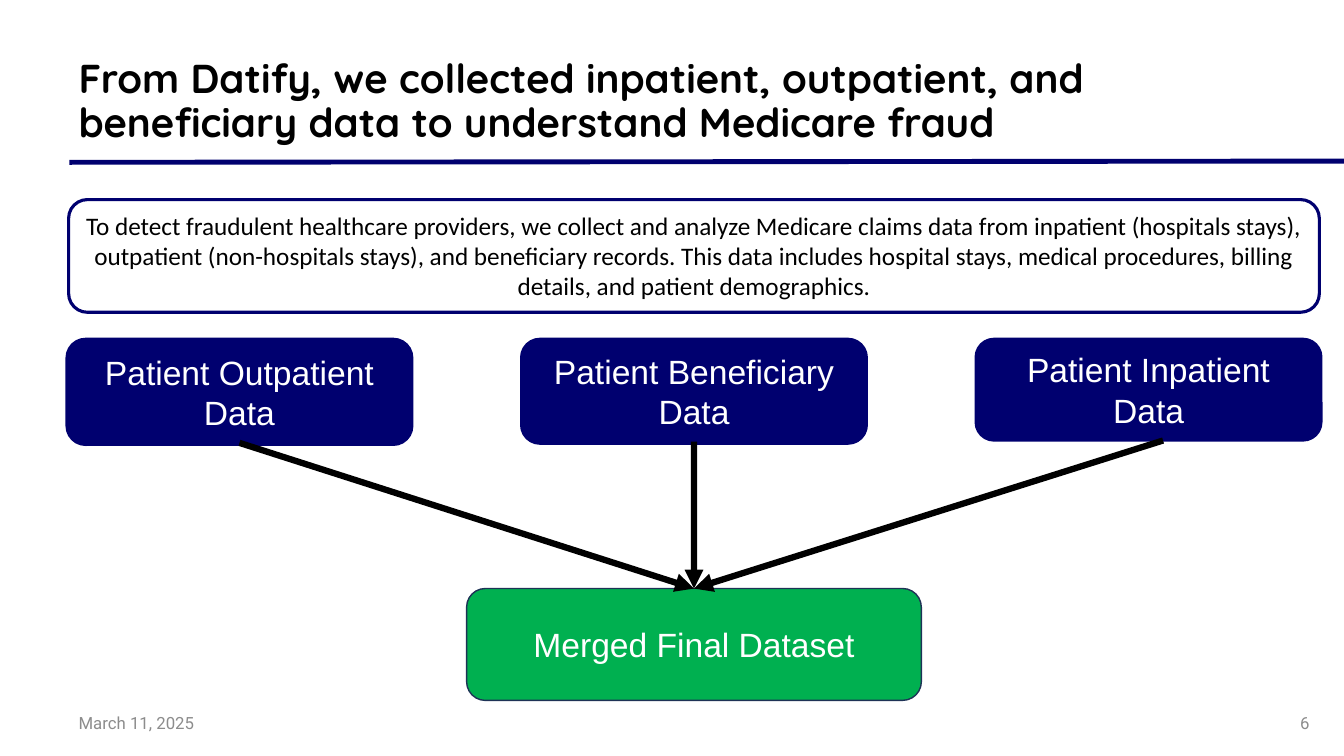
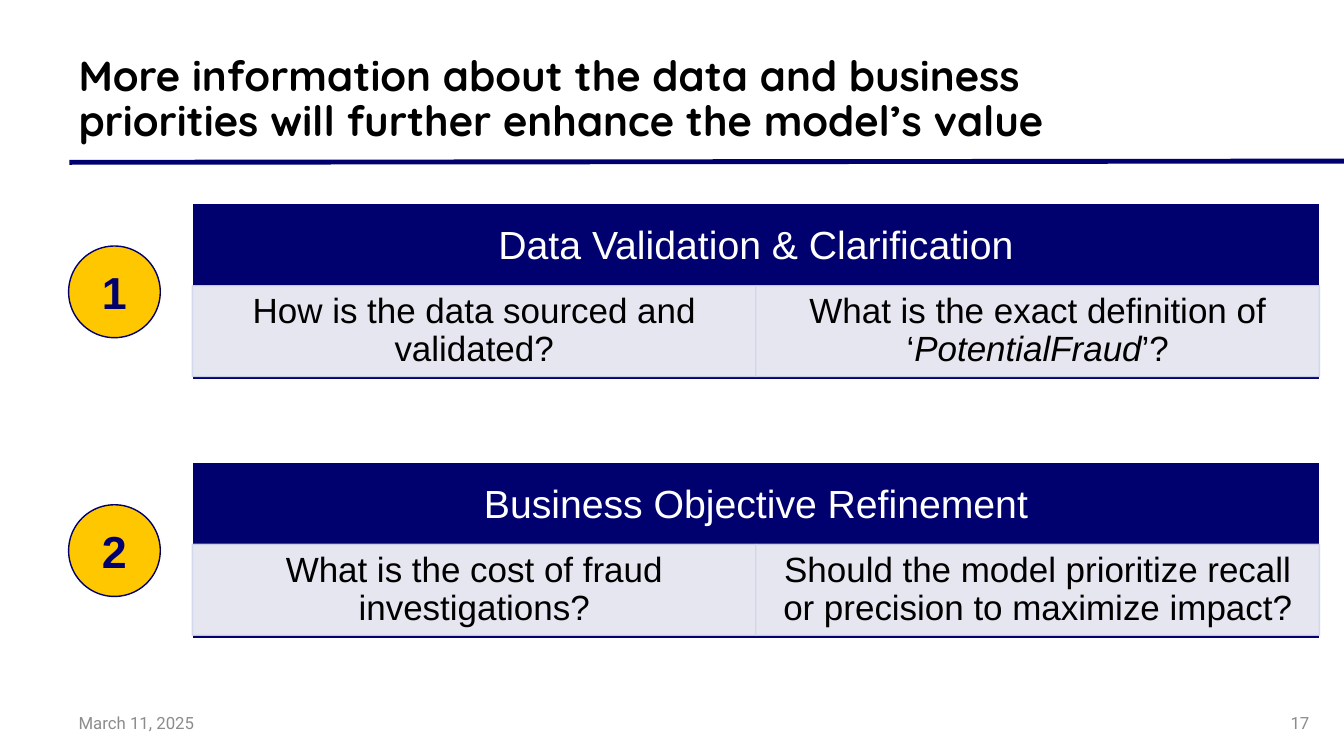
import dataclasses
import typing

import lxml.etree
import pptx
import pptx.dml.color
import pptx.enum.shapes
import pptx.enum.text
import pptx.oxml.ns
import pptx.util

Cm = pptx.util.Cm
Pt = pptx.util.Pt
qn = pptx.oxml.ns.qn
ALIGN = pptx.enum.text.PP_ALIGN
ANCHOR = pptx.enum.text.MSO_ANCHOR
SHAPE = pptx.enum.shapes.MSO_SHAPE
STRAIGHT = pptx.enum.shapes.MSO_CONNECTOR.STRAIGHT
TOP, BOTTOM = 0, 2

NAVY, WHITE, BLACK = "00006F", "FFFFFF", "000000"
GREEN, SLATE, GOLD = "00B050", "1E3256", "FFC700"
PALE, GREY = "CFD5EA", "8C8C8C"

SLIDE_W, SLIDE_H = 33.87, 19.05
LEFT, RIGHT = 1.73, 33.25
DEFAULT_INSETS = (0.25, 0.13, 0.25, 0.13)


@dataclasses.dataclass(frozen=True)
class Box:
    left: float
    top: float
    width: float
    height: float

    @property
    def lengths(self) -> tuple:
        return tuple(Cm(v) for v in (self.left, self.top, self.width, self.height))


@dataclasses.dataclass(frozen=True)
class TextStyle:
    font: str
    size: float
    colour: str
    bold: bool = False
    align: ALIGN = ALIGN.CENTER
    anchor: ANCHOR = ANCHOR.MIDDLE
    spacing: float = 1.0
    insets: tuple = DEFAULT_INSETS


@dataclasses.dataclass(frozen=True)
class Look:
    shape: SHAPE
    fill: str
    line: str
    line_width: float
    opacity: int = 100


@dataclasses.dataclass(frozen=True)
class Run:
    text: str
    italic: bool = False


@dataclasses.dataclass(frozen=True)
class Source:
    name: str
    height: float
    arrow_start: typing.Optional[tuple] = None


@dataclasses.dataclass(frozen=True)
class Topic:
    heading: str
    questions: tuple


DATE_STYLE = TextStyle("Roboto", 12, GREY, align=ALIGN.LEFT)
PAGE_STYLE = dataclasses.replace(DATE_STYLE, align=ALIGN.RIGHT)
SUMMARY_STYLE = TextStyle("Calibri", 18, BLACK, anchor=ANCHOR.TOP)
DATASET_STYLE = TextStyle("Arial", 24, WHITE)
HEADING_STYLE = TextStyle("Arial", 28, WHITE, spacing=0.9, insets=(0.69, 0.69, 0.69, 2.97))
QUESTION_STYLE = TextStyle("Arial", 25, BLACK, spacing=0.9, insets=(0.56, 0.1, 0.56, 0.1))
BADGE_STYLE = TextStyle("Arial", 32, NAVY, bold=True)

SUMMARY_LOOK = Look(SHAPE.ROUNDED_RECTANGLE, WHITE, NAVY, 2.25)
SOURCE_LOOK = Look(SHAPE.ROUNDED_RECTANGLE, NAVY, NAVY, 4.5)
MERGED_LOOK = Look(SHAPE.ROUNDED_RECTANGLE, GREEN, SLATE, 1)
PANEL_LOOK = Look(SHAPE.RECTANGLE, NAVY, WHITE, 1)
QUESTION_LOOK = Look(SHAPE.RECTANGLE, WHITE, PALE, 1, opacity=90)
BADGE_LOOK = Look(SHAPE.OVAL, GOLD, NAVY, 1)

SUMMARY = (
    "To detect fraudulent healthcare providers, we collect and analyze Medicare claims "
    "data from inpatient (hospitals stays), outpatient (non-hospitals stays), and "
    "beneficiary records. This data includes hospital stays, medical procedures, billing "
    "details, and patient demographics."
)
SOURCES = (
    Source("Patient Outpatient", 2.57),
    Source("Patient Beneficiary", 2.54),
    Source("Patient Inpatient", 2.46, arrow_start=(29.31, 11.1)),
)
TOPICS = (
    Topic(
        "Data Validation & Clarification",
        (
            (Run("How is the data sourced and validated?"),),
            (
                Run("What is the exact definition of ‘"),
                Run("PotentialFraud", italic=True),
                Run("’?"),
            ),
        ),
    ),
    Topic(
        "Business Objective Refinement",
        (
            (Run("What is the cost of fraud investigations?"),),
            (Run("Should the model prioritize recall or precision to maximize impact?"),),
        ),
    ),
)


def rgb(colour: str) -> pptx.dml.color.RGBColor:
    return pptx.dml.color.RGBColor.from_string(colour)


def write(shape, paragraphs: typing.Sequence, style: TextStyle) -> None:
    frame = shape.text_frame
    frame.word_wrap = True
    frame.vertical_anchor = style.anchor
    frame.margin_left, frame.margin_top, frame.margin_right, frame.margin_bottom = (
        Cm(inset) for inset in style.insets
    )
    for index, runs in enumerate(paragraphs):
        paragraph = frame.add_paragraph() if index else frame.paragraphs[0]
        paragraph.alignment = style.align
        paragraph.line_spacing = style.spacing
        for part in runs:
            run = paragraph.add_run()
            run.text = part.text
            run.font.name = style.font
            run.font.size = Pt(style.size)
            run.font.bold = style.bold
            run.font.italic = part.italic
            run.font.color.rgb = rgb(style.colour)


def add_label(shapes, box: Box, text: str, style: TextStyle) -> None:
    write(shapes.add_textbox(*box.lengths), [[Run(text)]], style)


def add_figure(shapes, box: Box, look: Look, paragraphs: typing.Sequence, style: TextStyle):
    figure = shapes.add_shape(look.shape, *box.lengths)
    figure.shadow.inherit = False
    figure.fill.solid()
    figure.fill.fore_color.rgb = rgb(look.fill)
    figure.line.color.rgb = rgb(look.line)
    figure.line.width = Pt(look.line_width)
    if look.opacity < 100:
        for colour in list(figure._element.spPr.iter(qn("a:srgbClr"))):
            alpha = lxml.etree.SubElement(colour, qn("a:alpha"))
            alpha.set("val", str(look.opacity * 1000))
    write(figure, paragraphs, style)
    return figure


def add_line(shapes, start: tuple, end: tuple, colour: str, width: float, arrow: bool = False):
    line = shapes.add_connector(STRAIGHT, *(Cm(v) for v in (*start, *end)))
    line.line.color.rgb = rgb(colour)
    line.line.width = Pt(width)
    if arrow:
        tail = lxml.etree.SubElement(line.line._get_or_add_ln(), qn("a:tailEnd"))
        tail.set("type", "triangle")
    lxml.etree.SubElement(line._element.spPr, qn("a:effectLst"))
    return line


def add_framed_slide(deck, title: str, title_size: float, page: int):
    slide = deck.slides.add_slide(deck.slide_layouts[6])
    title_style = TextStyle(
        "Quicksand", title_size, BLACK, bold=True,
        align=ALIGN.LEFT, anchor=ANCHOR.BOTTOM, spacing=0.9,
    )
    add_line(slide.shapes, (1.75, 4.09), (SLIDE_W, 4.06), NAVY, 3.5)
    add_label(slide.shapes, Box(LEFT, 0.41, 26.85, 3.4), title, title_style)
    add_label(slide.shapes, Box(LEFT, 17.7, 5.16, 1.02), "March 11, 2025", DATE_STYLE)
    add_label(slide.shapes, Box(RIGHT - 7.62, 17.7, 7.62, 1.02), str(page), PAGE_STYLE)
    return slide


def add_data_sources(deck) -> None:
    shapes = add_framed_slide(
        deck,
        "From Datify, we collected inpatient, outpatient, and "
        "beneficiary data to understand Medicare fraud",
        28.8,
        6,
    ).shapes
    summary_box = Box(LEFT, 5.03, RIGHT - LEFT, 2.84)
    add_figure(shapes, summary_box, SUMMARY_LOOK, [[Run(SUMMARY)]], SUMMARY_STYLE)

    merged_width, merged_top = 11.46, 14.83
    centre = (LEFT + RIGHT) / 2
    merged_box = Box(centre - merged_width / 2, merged_top, merged_width, 2.82)
    merged = add_figure(
        shapes, merged_box, MERGED_LOOK, [[Run("Merged Final Dataset")]], DATASET_STYLE
    )

    source_width, source_top = 8.61, 8.59
    step = (RIGHT - LEFT - source_width) / (len(SOURCES) - 1)
    for index, source in enumerate(SOURCES):
        box = Box(LEFT + index * step, source_top, source_width, source.height)
        dataset = add_figure(
            shapes, box, SOURCE_LOOK, [[Run(source.name)], [Run("Data")]], DATASET_STYLE
        )
        bottom_middle = (box.left + box.width / 2, box.top + box.height)
        start = source.arrow_start or bottom_middle
        arrow = add_line(shapes, start, (centre, merged_top), BLACK, 4.5, arrow=True)
        if source.arrow_start is None:
            arrow.begin_connect(dataset, BOTTOM)
        arrow.end_connect(merged, TOP)


def add_next_steps(deck) -> None:
    shapes = add_framed_slide(
        deck,
        "More information about the data and business "
        "priorities will further enhance the model’s value",
        30,
        17,
    ).shapes
    panel_left, badge_size = 4.85, 2.31
    panel_width = RIGHT - panel_left
    for index, topic in enumerate(TOPICS):
        top = 5.13 + index * 6.52
        panel = shapes.add_group_shape().shapes
        panel_box = Box(panel_left, top, panel_width, 4.45)
        add_figure(panel, panel_box, PANEL_LOOK, [[Run(topic.heading)]], HEADING_STYLE)
        question_width = panel_width / len(topic.questions)
        for column, question in enumerate(topic.questions):
            box = Box(panel_left + column * question_width, top + 2.07, question_width, 2.29)
            add_figure(panel, box, QUESTION_LOOK, [question], QUESTION_STYLE)
        badge_box = Box(LEFT, top + 1.07, badge_size, badge_size)
        add_figure(shapes, badge_box, BADGE_LOOK, [[Run(str(index + 1))]], BADGE_STYLE)


def main() -> None:
    deck = pptx.Presentation()
    deck.slide_width, deck.slide_height = Cm(SLIDE_W), Cm(SLIDE_H)
    add_data_sources(deck)
    add_next_steps(deck)
    deck.save("out.pptx")


if __name__ == "__main__":
    main()
